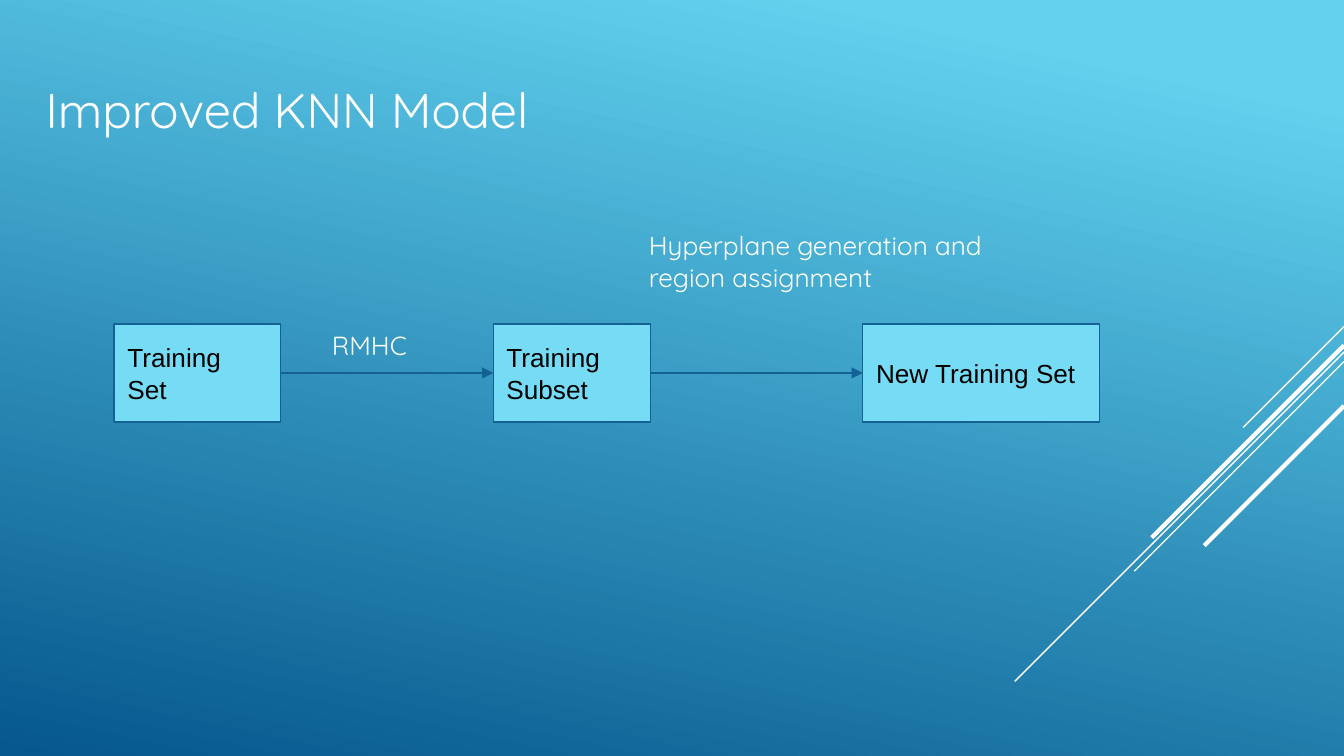
from dataclasses import dataclass

from lxml.etree import SubElement
from pptx import Presentation
from pptx.dml.color import RGBColor
from pptx.enum.shapes import MSO_CONNECTOR, MSO_SHAPE
from pptx.enum.text import MSO_ANCHOR, MSO_AUTO_SIZE, PP_ALIGN
from pptx.oxml.ns import qn
from pptx.util import Inches, Pt

SLIDE_WIDTH = Inches(10)
SLIDE_HEIGHT = SLIDE_WIDTH * 9 // 16
COLUMN = SLIDE_WIDTH // 100


@dataclass(frozen=True)
class Theme:
    sky: str = "62D2EF"
    deep: str = "05578D"
    box: str = "76DBF4"
    edge: str = "146194"
    light: str = "FFFFFF"
    dark: str = "000000"
    display_font: str = "Quicksand"
    box_font: str = "Arial"
    title_size: float = 26.2
    body_size: float = 14
    thin: float = 0.75
    thick: float = 2.25


@dataclass(frozen=True)
class Box:
    left: float
    top: float
    width: float
    height: float

    @property
    def right(self):
        return self.left + self.width

    @property
    def middle(self):
        return self.top + self.height / 2

    def emu(self):
        return [round(value * COLUMN) for value in
                (self.left, self.top, self.width, self.height)]


THEME = Theme()


def color(name):
    return RGBColor.from_string(name)


def write(shape, text, font, size, ink, anchor=MSO_ANCHOR.TOP, side_inset=1):
    frame = shape.text_frame
    frame.word_wrap = True
    frame.auto_size = MSO_AUTO_SIZE.NONE
    frame.vertical_anchor = anchor
    frame.margin_left = frame.margin_right = side_inset * COLUMN
    frame.margin_top = frame.margin_bottom = COLUMN
    paragraph = frame.paragraphs[0]
    paragraph.alignment = PP_ALIGN.LEFT
    run = paragraph.add_run()
    run.text = text
    run.font.name = font
    run.font.size = Pt(size)
    run.font.color.rgb = color(ink)


def add_line(slide, start, end, ink, weight, arrow=False):
    points = [round(value * COLUMN) for value in (*start, *end)]
    line = slide.shapes.add_connector(MSO_CONNECTOR.STRAIGHT, *points)
    line.line.color.rgb = color(ink)
    line.line.width = Pt(weight)
    properties = line._element.spPr
    if arrow:
        SubElement(properties.find(qn("a:ln")), qn("a:tailEnd"), type="triangle")
    SubElement(properties, qn("a:effectLst"))


def paint_background(slide):
    fill = slide.background.fill
    fill.gradient()
    fill.gradient_angle = 258
    for stop, position, ink in zip(fill.gradient_stops, (0.1, 1), (THEME.sky, THEME.deep)):
        stop.position = position
        stop.color.rgb = color(ink)


def add_streaks(slide, box):
    streaks = [
        (0, 7.5, THEME.thin),
        (1.9, 24.5, THEME.thin),
        (2.6, 15.6, THEME.thin),
        (1.4, 14.3, THEME.thick),
        (5.9, 10.4, THEME.thick),
    ]
    for drop, reach, weight in streaks:
        top = box.top + drop
        add_line(slide, (box.right, top), (box.right - reach, top + reach), THEME.light, weight)


def add_title(slide, box, text):
    title = slide.shapes.title
    title.left, title.top, title.width, title.height = box.emu()
    write(title, text, THEME.display_font, THEME.title_size, THEME.light, side_inset=0)


def add_label(slide, box, text):
    label = slide.shapes.add_textbox(*box.emu())
    write(label, text, THEME.display_font, THEME.body_size, THEME.light)


def add_stage(slide, box, text):
    stage = slide.shapes.add_shape(MSO_SHAPE.RECTANGLE, *box.emu())
    stage.shadow.inherit = False
    stage.fill.solid()
    stage.fill.fore_color.rgb = color(THEME.box)
    stage.line.color.rgb = color(THEME.edge)
    stage.line.width = Pt(THEME.thin)
    write(stage, text, THEME.box_font, THEME.body_size, THEME.dark, MSO_ANCHOR.MIDDLE)


def add_flow(slide, box):
    stages = [("Training Set", 12.4), ("Training Subset", 11.7), ("New Training Set", 17.6)]
    gap = (box.width - sum(width for _, width in stages)) / (len(stages) - 1)
    left = box.left
    for index, (text, width) in enumerate(stages):
        stage = Box(left, box.top, width, box.height)
        add_stage(slide, stage, text)
        if index:
            add_line(slide, (left - gap, box.middle), (left, box.middle),
                     THEME.edge, THEME.thin, arrow=True)
        left = stage.right + gap
    add_label(slide, Box(box.left + 15.2, box.top - 0.6, 8.2, 4.3), "RMHC")
    add_label(slide, Box(box.left + 38.8, box.top - 8, 32, 6.7),
              "Hyperplane generation and region assignment")


def main():
    presentation = Presentation()
    presentation.slide_width = SLIDE_WIDTH
    presentation.slide_height = SLIDE_HEIGHT
    slide = presentation.slides.add_slide(presentation.slide_layouts[5])
    paint_background(slide)
    add_streaks(slide, Box(75.5, 24.3, 24.5, 26.4))
    add_title(slide, Box(3.4, 4.9, 93.2, 6.3), "Improved KNN Model")
    add_flow(slide, Box(8.5, 24.1, 73.3, 7.3))
    presentation.save("out.pptx")


if __name__ == "__main__":
    main()
